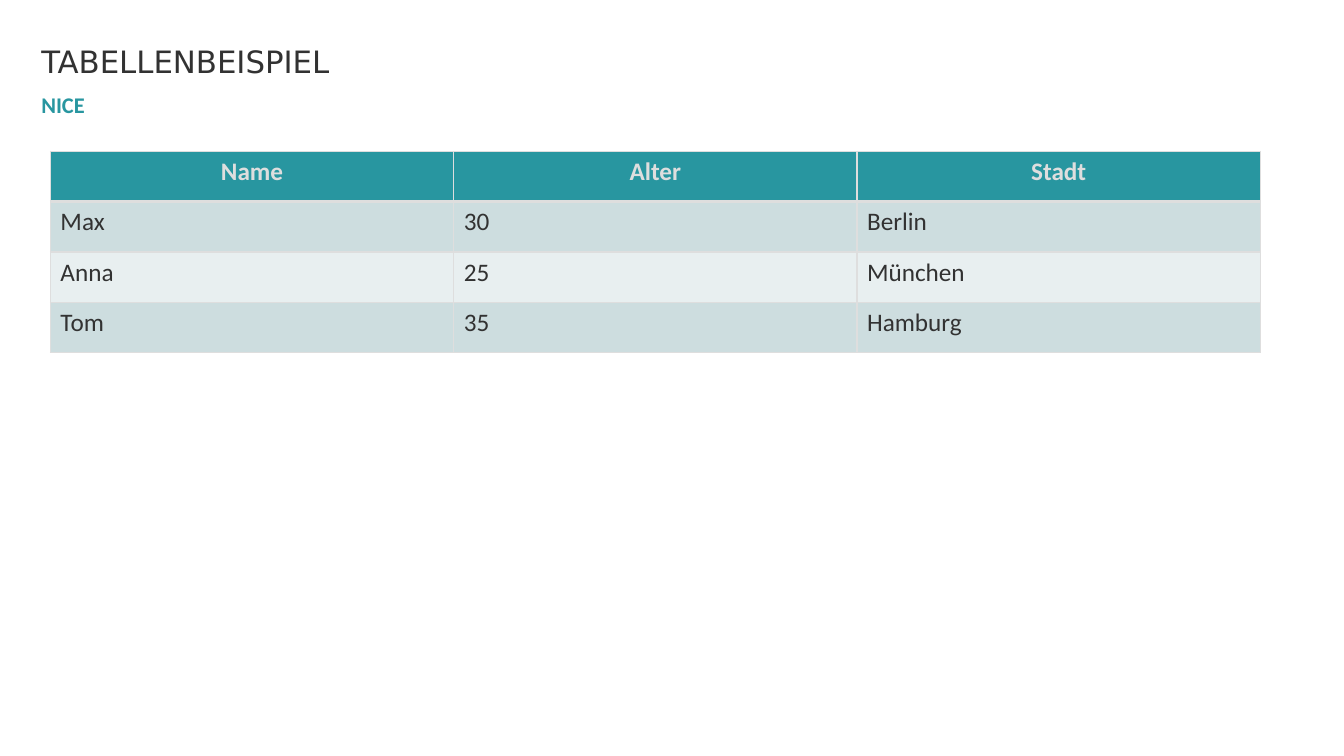
from lxml.etree import SubElement
from pptx import Presentation
from pptx.dml.color import RGBColor
from pptx.enum.text import MSO_ANCHOR, MSO_AUTO_SIZE, PP_ALIGN
from pptx.oxml.ns import qn
from pptx.util import Inches, Pt

TITLE = "TABELLENBEISPIEL"
SUBTITLE = "NICE"
PEOPLE = [
    ("Name", "Alter", "Stadt"),
    ("Max", "30", "Berlin"),
    ("Anna", "25", "München"),
    ("Tom", "35", "Hamburg"),
]

TEAL, INK, RULE = "2896A0", "323232", "DEDEDE"
BANDS = ("CDDDDF", "E8EFF0")
COLUMN_WIDTH, ROW_HEIGHT = 4, 0.5


def color(value):
    return RGBColor.from_string(value)


def style(paragraph, font_name, size, ink, bold=False, align=PP_ALIGN.LEFT):
    paragraph.alignment = align
    for run in paragraph.runs:
        run.font.name = font_name
        run.font.size = Pt(size)
        run.font.bold = bold
        run.font.color.rgb = color(ink)


def fill_heading(placeholder, text, top, font_name, size, ink, bold):
    placeholder.left, placeholder.top = Inches(0.41), Inches(top)
    placeholder.width, placeholder.height = Inches(11.8), Inches(0.52)
    frame = placeholder.text_frame
    frame.text = text
    frame.word_wrap = True
    frame.auto_size = MSO_AUTO_SIZE.NONE
    frame.vertical_anchor = MSO_ANCHOR.TOP
    frame.margin_left = frame.margin_right = 0
    frame.margin_top = frame.margin_bottom = 0
    paragraph = frame.paragraphs[0]
    paragraph.line_spacing = Pt(33.6)
    paragraph.space_before = Pt(0)
    style(paragraph, font_name, size, ink, bold)


def add_borders(cell, widths):
    properties = cell._tc.get_or_add_tcPr()
    for position, (side, width) in enumerate(widths.items()):
        line = properties.makeelement(qn(f"a:{side}"), {"w": str(Pt(width))})
        solid = SubElement(line, qn("a:solidFill"))
        SubElement(solid, qn("a:srgbClr"), val=RULE)
        properties.insert(position, line)


def add_people_table(slide):
    row_count, column_count = len(PEOPLE), len(PEOPLE[0])
    table = slide.shapes.add_table(
        row_count, column_count, Inches(0.5), Inches(1.5),
        Inches(column_count * COLUMN_WIDTH), Inches(row_count * ROW_HEIGHT),
    ).table
    for r, person in enumerate(PEOPLE):
        header = r == 0
        for c, value in enumerate(person):
            cell = table.cell(r, c)
            cell.text = value
            cell.fill.solid()
            cell.fill.fore_color.rgb = color(TEAL if header else BANDS[(r - 1) % 2])
            style(
                cell.text_frame.paragraphs[0], "Calibri", 18,
                RULE if header else INK, header,
                PP_ALIGN.CENTER if header else PP_ALIGN.LEFT,
            )
            add_borders(cell, {
                "lnL": 1, "lnR": 1,
                "lnT": 3 if r == 1 else 1, "lnB": 3 if header else 1,
            })


def main():
    presentation = Presentation()
    presentation.slide_width, presentation.slide_height = Inches(13.33), Inches(7.5)
    slide = presentation.slides.add_slide(presentation.slide_layouts[0])
    title, subtitle = slide.placeholders
    fill_heading(title, TITLE, 0.32, "DejaVu Sans", 22, INK, False)
    fill_heading(subtitle, SUBTITLE, 0.7, "Calibri", 16, TEAL, True)
    add_people_table(slide)
    presentation.save("out.pptx")


if __name__ == "__main__":
    main()
